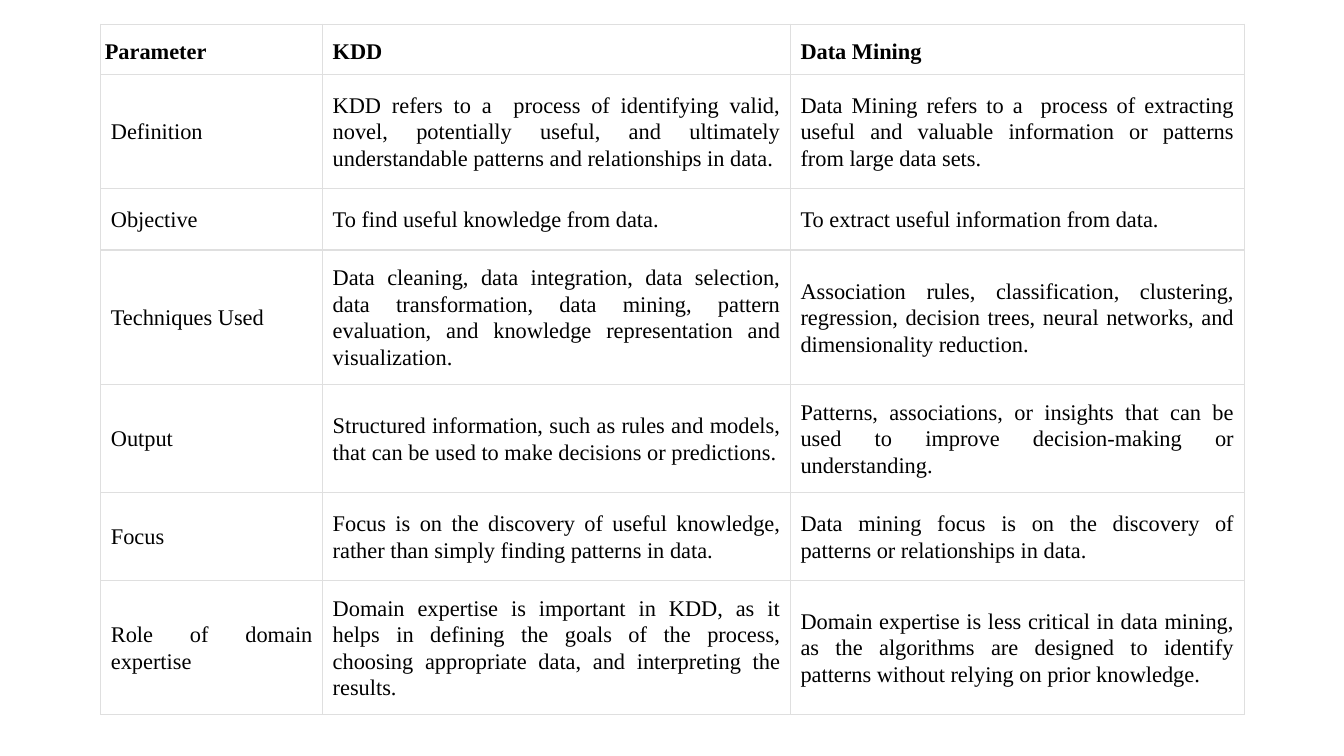
from dataclasses import dataclass

from lxml import etree
from pptx import Presentation
from pptx.dml.color import RGBColor
from pptx.enum.text import MSO_ANCHOR, PP_ALIGN
from pptx.oxml.ns import qn
from pptx.table import Table, _Cell
from pptx.util import Inches, Pt

BLACK = RGBColor(0x00, 0x00, 0x00)
GREY = RGBColor(0xDF, 0xDF, 0xDF)
BOTTOM, MIDDLE = MSO_ANCHOR.BOTTOM, MSO_ANCHOR.MIDDLE
JUSTIFY = PP_ALIGN.JUSTIFY
FONT = "Times New Roman"
WIDTHS = (2.2, 4.64, 4.5)
SIDES = ("a:lnL", "a:lnR", "a:lnT", "a:lnB")


@dataclass(frozen=True)
class Entry:
    height: float
    name: str
    kdd: str
    mining: str


ENTRIES = (
    Entry(0.5, "Parameter", "KDD", "Data Mining"),
    Entry(
        1.13,
        "Definition",
        "KDD refers to a  process of identifying valid, novel, potentially useful, "
        "and ultimately understandable patterns and relationships in data.",
        "Data Mining refers to a  process of extracting useful and valuable "
        "information or patterns from large data sets.",
    ),
    Entry(
        0.61,
        "Objective",
        "To find useful knowledge from data.",
        "To extract useful information from data.",
    ),
    Entry(
        1.13,
        "Techniques Used",
        "Data cleaning, data integration, data selection, data transformation, "
        "data mining, pattern evaluation, and knowledge representation and "
        "visualization.",
        "Association rules, classification, clustering, regression, decision "
        "trees, neural networks, and dimensionality reduction.",
    ),
    Entry(
        0.87,
        "Output",
        "Structured information, such as rules and models, that can be used to "
        "make decisions or predictions.",
        "Patterns, associations, or insights that can be used to improve "
        "decision-making or understanding.",
    ),
    Entry(
        0.87,
        "Focus",
        "Focus is on the discovery of useful knowledge, rather than simply "
        "finding patterns in data.",
        "Data mining focus is on the discovery of patterns or relationships "
        "in data.",
    ),
    Entry(
        1.13,
        "Role of domain expertise",
        "Domain expertise is important in KDD, as it helps in defining the goals "
        "of the process, choosing appropriate data, and interpreting the results.",
        "Domain expertise is less critical in data mining, as the algorithms are "
        "designed to identify patterns without relying on prior knowledge.",
    ),
)


def add_borders(cell: _Cell) -> None:
    props = cell._tc.get_or_add_tcPr()
    for side in SIDES:
        line = etree.SubElement(props, qn(side), w=str(Pt(1)))
        fill = etree.SubElement(line, qn("a:solidFill"))
        etree.SubElement(fill, qn("a:srgbClr"), val=str(GREY))


def fill_cell(cell: _Cell, text: str, header: bool, first: bool) -> None:
    add_borders(cell)
    cell.fill.background()
    cell.vertical_anchor = BOTTOM if header else MIDDLE
    side = Inches(0.04 if header and first else 0.1)
    cell.margin_left = cell.margin_right = side
    cell.margin_top = cell.margin_bottom = Inches(0.1 if header else 0.14)
    para = cell.text_frame.paragraphs[0]
    para.text = text
    para.alignment = JUSTIFY
    para.line_spacing = 1.07
    font = para.runs[0].font
    font.name = FONT
    font.size = Pt(16)
    font.bold = header
    font.color.rgb = BLACK


def fill_table(table: Table) -> None:
    table.first_row = table.horz_banding = False
    for column, width in zip(table.columns, WIDTHS):
        column.width = Inches(width)
    for r, entry in enumerate(ENTRIES):
        table.rows[r].height = Inches(entry.height)
        for c, text in enumerate((entry.name, entry.kdd, entry.mining)):
            fill_cell(table.cell(r, c), text, r == 0, c == 0)


def main() -> None:
    deck = Presentation()
    deck.slide_width = Inches(13.33)
    deck.slide_height = Inches(7.5)
    slide = deck.slides.add_slide(deck.slide_layouts[6])
    height = sum(entry.height for entry in ENTRIES)
    frame = slide.shapes.add_table(
        len(ENTRIES), len(WIDTHS),
        Inches(1), Inches(0.24), Inches(sum(WIDTHS)), Inches(height),
    )
    fill_table(frame.table)
    deck.save("out.pptx")


if __name__ == "__main__":
    main()
